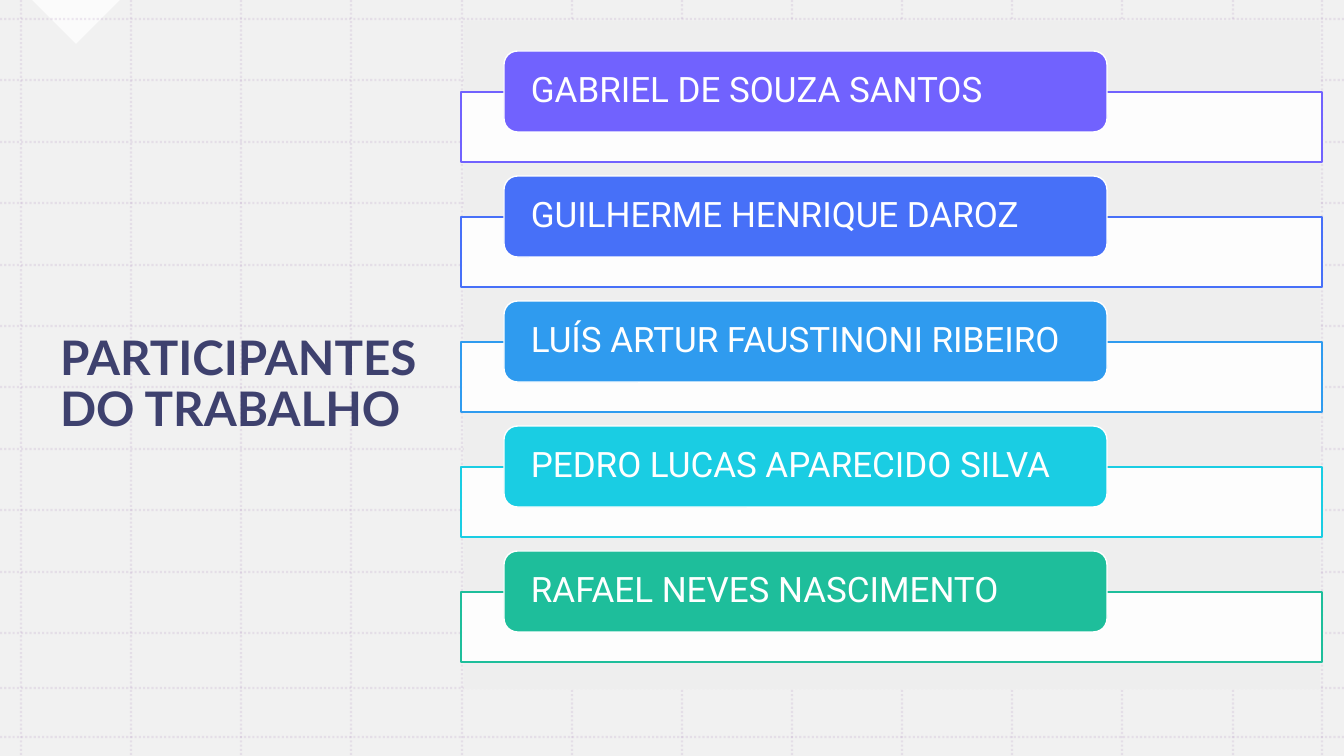
from dataclasses import dataclass

from lxml.etree import SubElement
from pptx import Presentation
from pptx.dml.color import RGBColor
from pptx.enum.dml import MSO_LINE_DASH_STYLE as DASH
from pptx.enum.shapes import MSO_CONNECTOR as CONN, MSO_SHAPE as SHAPE
from pptx.enum.text import MSO_ANCHOR as ANCHOR, MSO_AUTO_SIZE as AUTO, PP_ALIGN as ALIGN
from pptx.oxml.ns import qn
from pptx.util import Emu, Pt

SCALE = 914400 / 100.8
WIDTH, HEIGHT = 1344, 756


@dataclass(frozen=True)
class Theme:
    white: str = "FFFFFF"
    grey: str = "EEEEEE"
    grid: str = "B495C2"
    navy: str = "12154E"
    bars: tuple = ("7162FE", "4770F8", "2F9BEF", "1ACDE3", "1EBE9B")
    title_font: str = "Lato"
    body_font: str = "Roboto"
    title_size: int = 34
    body_size: int = 25


def px(n):
    return Emu(round(n * SCALE))


def rgb(value):
    return RGBColor.from_string(value)


def apply(target, values):
    for name, value in values.items():
        setattr(target, name, value)


def set_alpha(el, percent):
    color = el.find(".//" + qn("a:srgbClr"))
    SubElement(color, qn("a:alpha"), val=str(percent * 1000))


class Deck:
    def __init__(self, theme):
        self.theme = theme
        self.prs = Presentation()
        apply(self.prs, {"slide_width": px(WIDTH), "slide_height": px(HEIGHT)})
        self.s = self.prs.slides.add_slide(self.prs.slide_layouts[5])

    def shape(self, box, fill, alpha=None, line=None, kind=SHAPE.RECTANGLE, rotation=0):
        sp = self.s.shapes.add_shape(kind, *map(px, box))
        sp.shadow.inherit = False
        sp.rotation = rotation
        sp.fill.solid()
        sp.fill.fore_color.rgb = rgb(fill)
        if alpha:
            set_alpha(sp.element.spPr, alpha)
        if line:
            sp.line.color.rgb = rgb(line)
            sp.line.width = Pt(1)
        else:
            sp.line.fill.background()
        return sp

    def grid_line(self, x1, y1, x2, y2):
        cn = self.s.shapes.add_connector(CONN.STRAIGHT, *map(px, (x1, y1, x2, y2)))
        cn.line.color.rgb = rgb(self.theme.grid)
        apply(cn.line, {"width": Pt(1.5), "dash_style": DASH.ROUND_DOT})
        set_alpha(cn.element.spPr, 20)
        SubElement(cn.element.spPr, qn("a:effectLst"))

    def text(self, sp, words, font, size, color, **frame):
        tf = sp.text_frame
        apply(tf, {"word_wrap": True, "auto_size": AUTO.NONE,
                   "vertical_anchor": ANCHOR.MIDDLE, **frame})
        p = tf.paragraphs[0]
        apply(p, {"alignment": ALIGN.LEFT, "line_spacing": 0.9})
        r = p.add_run()
        r.text = words
        apply(r.font, {"name": font, "size": Pt(size)})
        r.font.color.rgb = rgb(color)
        return r

    def title(self, box, words):
        t = self.theme
        sp = self.s.shapes.title
        apply(sp, dict(zip(("left", "top", "width", "height"), map(px, box))))
        r = self.text(sp, words, t.title_font, t.title_size, t.navy)
        r.font.bold = True
        set_alpha(sp.element.txBody, 80)
        self.s.shapes.element.append(sp.element)

    def name_bar(self, y, name, color):
        t = self.theme
        self.shape((461, y + 41, 861, 70), t.white, alpha=90, line=color)
        sp = self.shape((504, y, 603, 81), color, line=t.white, kind=SHAPE.ROUNDED_RECTANGLE)
        self.text(sp, name, t.body_font, t.body_size, t.white, margin_left=px(23),
                  margin_right=px(23), margin_top=0, margin_bottom=0)


def main():
    theme = Theme()
    deck = Deck(theme)
    deck.shape((0, 0, WIDTH, HEIGHT), theme.white)
    deck.shape((0, 0, WIDTH, HEIGHT), theme.grey, alpha=80)
    deck.shape((45, -31, 62, 62), theme.white, alpha=75, kind=SHAPE.RIGHT_TRIANGLE, rotation=315)
    for x in [*(round(21 + 110.15 * i) for i in range(12)), 1322]:
        deck.grid_line(x, 0, x, HEIGHT)
    for y in [*(round(19 + 61.4 * i) for i in range(11)), 688, 737]:
        deck.grid_line(0, y, WIDTH, y)
    deck.title((50, 80, 410, 611), "PARTICIPANTES DO TRABALHO")
    deck.shape((464, 21, 856, 668), theme.grey)
    names = ("GABRIEL DE SOUZA SANTOS", "GUILHERME HENRIQUE DAROZ",
             "LUÍS ARTUR FAUSTINONI RIBEIRO", "PEDRO LUCAS APARECIDO SILVA",
             "RAFAEL NEVES NASCIMENTO")
    for i, (name, color) in enumerate(zip(names, theme.bars)):
        deck.name_bar(51 + 125 * i, name, color)
    deck.prs.save("out.pptx")


if __name__ == "__main__":
    main()
